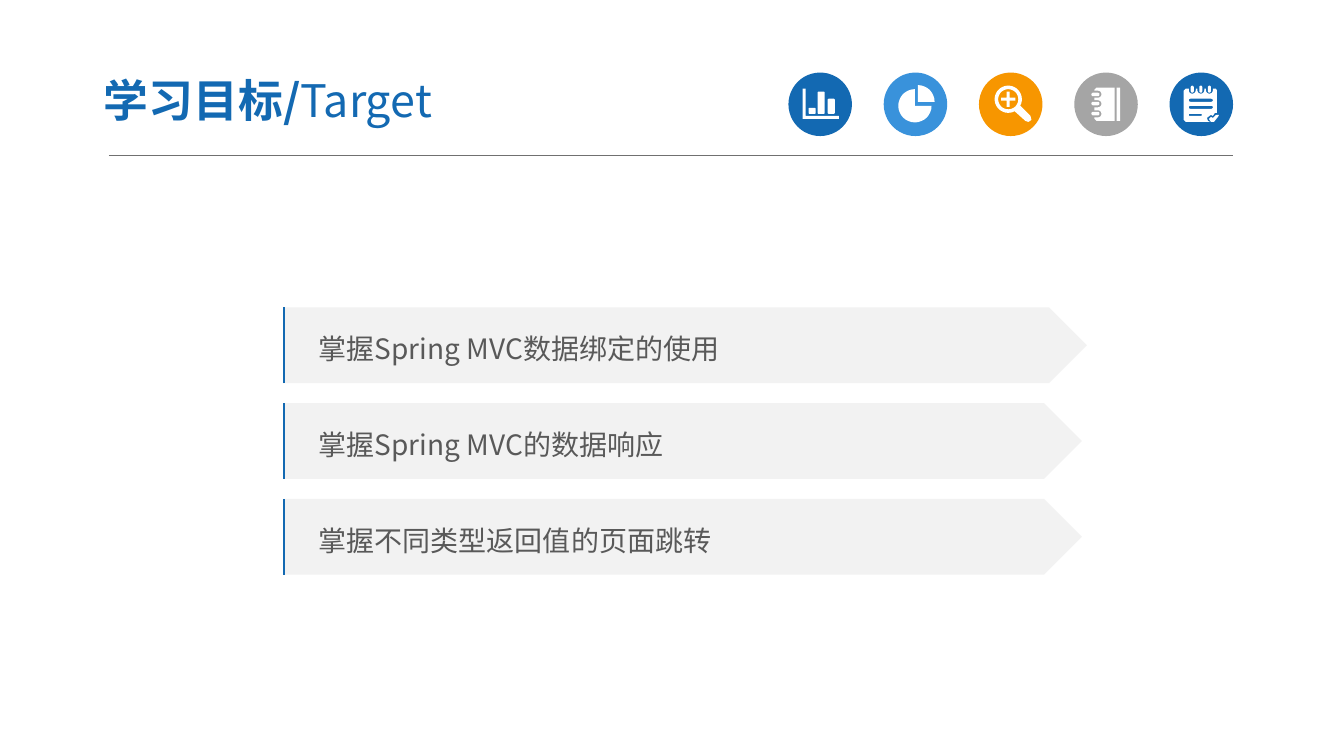
import math

import pptx
import pptx.util
import pptx.dml.color
import pptx.enum.shapes
import pptx.enum.text
import pptx.oxml.ns
import lxml.etree

KIND = pptx.enum.shapes.MSO_SHAPE
STRAIGHT = pptx.enum.shapes.MSO_CONNECTOR.STRAIGHT
LEFT = pptx.enum.text.PP_ALIGN.LEFT
MIDDLE = pptx.enum.text.MSO_ANCHOR.MIDDLE
INCH, PT = pptx.util.Inches, pptx.util.Pt
QN = pptx.oxml.ns.qn
FACE = "Noto Sans CJK SC"
HUES = {
    "blue": "1369B2", "sky": "3992DB", "gold": "F79600", "gray": "A5A5A5",
    "white": "FFFFFF", "pale": "F2F2F2", "text": "595959", "rule": "707070",
}
COLOR = {name: pptx.dml.color.RGBColor.from_string(code) for name, code in HUES.items()}

deck = pptx.Presentation()
deck.slide_width, deck.slide_height = INCH(13.33), INCH(7.5)
slide = deck.slides.add_slide(deck.slide_layouts[5])


def paint(shape, hue):
    shape.shadow.inherit = False
    shape.fill.solid()
    shape.fill.fore_color.rgb = COLOR[hue]
    shape.line.fill.background()
    return shape


def arc(x, y, size, start, end, steps=8):
    """Points on a circle from one angle to another, clockwise from the right."""
    turns = [math.radians(start + (end - start) * k / steps) for k in range(steps + 1)]
    return [(x + size * math.cos(turn), y + size * math.sin(turn)) for turn in turns]


# Title rule
rule = slide.shapes.add_connector(STRAIGHT, INCH(1.08), INCH(1.54), INCH(12.23), INCH(1.54))
rule.line.color.rgb = COLOR["rule"]
rule.line.width = PT(0.5)
lxml.etree.SubElement(rule._element.spPr, QN("a:effectLst"))

# Icon outlines on a 0.01 inch grid inside the disc
chart = [[(14, 16), (17, 16), (17, 43), (50, 43), (50, 46), (14, 46)]]
pie = [
    [(34, 29)] + arc(34, 29, 16.5, -90, 0),
    [(31, 33)] + arc(31, 33, 16.5, 0, 270, 24),
]
lens = [
    arc(29, 26.5, 13.5, 62, 388, 32) + [(51, 43), (52, 47), (49, 49), (46, 48)],
    arc(29, 26.5, 10, 0, 360, 32),
    [(27.5, 19), (30.5, 19), (30.5, 25), (36, 25), (36, 28), (30.5, 28),
     (30.5, 34), (27.5, 34), (27.5, 28), (22, 28), (22, 25), (27.5, 25)],
]
book = [
    [(42, 15), (45.5, 15), (45.5, 48), (42, 48)],
    [(22, 15), (40, 15), (40, 48), (22, 48), (20, 46)],
]
notes = [
    [(16, 16)],
    [(48, 44), (44, 49), (41, 49), (39, 46), (41, 44), (43, 45), (46, 42), (49, 42)],
]
for mid in (41, 31, 21.5):
    book[1] += [(20, mid + 3.5)] + arc(23.5, mid, 3.5, 90, -90) + [(20, mid - 3.5)]
book[1].append((20, 17))
for mid in (22.5, 31, 39.5):
    notes[0] += [(mid - 3.5, 16)] + arc(mid, 17.5, 3.5, 180, 0) + [(mid + 3.5, 16)]
notes[0] += [(46, 16), (47, 18), (47, 40), (45, 40), (43, 43), (41, 42),
             (37, 45), (38, 48), (40, 49), (16, 49), (14, 47), (14, 18)]

# Bars, rings and ruled lines: left, top, width, height, corner
bars = [(chart, 20, 35, 7, 6, 1), (chart, 29, 19, 7, 22, 1), (chart, 39, 26, 7, 15, 1)]
bars += [(book, 17, top, 8, 3.5, 1.7) for top in (39, 29, 20)]
bars += [(notes, left, 13, 3, 7, 1.5) for left in (21, 29.5, 38)]
bars += [(notes, 19, top, wide, high, high / 2)
         for top, wide, high in ((26, 24, 3), (33, 24, 3), (41, 13, 2))]
for icon, left, top, wide, high, bend in bars:
    near, far = left + bend, left + wide - bend
    head, foot = top + bend, top + high - bend
    corners = ((far, foot), (near, foot), (near, head), (far, head))
    icon.append([spot for k, (x, y) in enumerate(corners)
                 for spot in arc(x, y, bend, 90 * k, 90 * k + 90, 3)])

icons = [("blue", chart), ("sky", pie), ("gold", lens), ("gray", book), ("blue", notes)]
for i, (hue, icon) in enumerate(icons):
    left, top, size = INCH(7.82 + 0.945 * i), INCH(0.72), INCH(0.63)
    group = slide.shapes.add_group_shape().shapes
    paint(group.add_shape(KIND.OVAL, left, top, size, size), hue)
    loops = [[(10 * x, 10 * y) for x, y in loop] for loop in icon]
    pen = group.build_freeform(*loops[0][0], scale=914.4)
    pen.add_line_segments(loops[0][1:])
    for loop in loops[1:]:
        pen.move_to(*loop[0])
        pen.add_line_segments(loop[1:])
    paint(pen.convert_to_shape(left, top), "white")

# Title
title = slide.shapes.title
spot = {"left": 0.9, "top": 0.63, "width": 5.22, "height": 0.72}
for key, value in spot.items():
    setattr(title, key, INCH(value))
frame = title.text_frame
pads = {"margin_left": 0.13, "margin_right": 0.13, "margin_top": 0.07, "margin_bottom": 0.07}
for key, value in pads.items():
    setattr(frame, key, INCH(value))
frame.auto_size = pptx.enum.text.MSO_AUTO_SIZE.NONE
texts = [(frame, "学习目标/", 32, "blue", True), (frame, "Target", 32, "blue", False)]

# Goal banners
HIGH, STEP = 0.75, 0.95
goals = [
    ("掌握Spring MVC数据绑定的使用", 7.97),
    ("掌握Spring MVC的数据响应", 7.92),
    ("掌握不同类型返回值的页面跳转", 7.92),
]
for i, (words, wide) in enumerate(goals):
    top = INCH(3.05 + STEP * i)
    group = slide.shapes.add_group_shape().shapes
    banner = group.add_shape(KIND.PENTAGON, INCH(2.81), top, INCH(wide), INCH(HIGH))
    frame = paint(banner, "pale").text_frame
    frame.word_wrap = True
    frame.margin_left = INCH(0.35)
    frame.paragraphs[0].line_spacing = 1.2
    texts.append((frame, words, 20, "text", False))
    pen = group.build_freeform(0, INCH(HIGH))
    pen.add_line_segments([(0, 0)], close=False)
    edge = pen.convert_to_shape(INCH(2.82), top)
    edge.shadow.inherit = False
    edge.fill.background()
    edge.line.color.rgb = COLOR["blue"]
    edge.line.width = PT(1.5)

for frame, words, size, hue, bold in texts:
    frame.vertical_anchor = MIDDLE
    par = frame.paragraphs[0]
    par.alignment = LEFT
    run = par.add_run()
    run.text = words
    look = {"name": FACE, "size": PT(size), "bold": bold}
    for key, value in look.items():
        setattr(run.font, key, value)
    run.font.color.rgb = COLOR[hue]
    east = lxml.etree.SubElement(run.font._element, QN("a:ea"))
    east.set("typeface", FACE)

deck.save("out.pptx")
